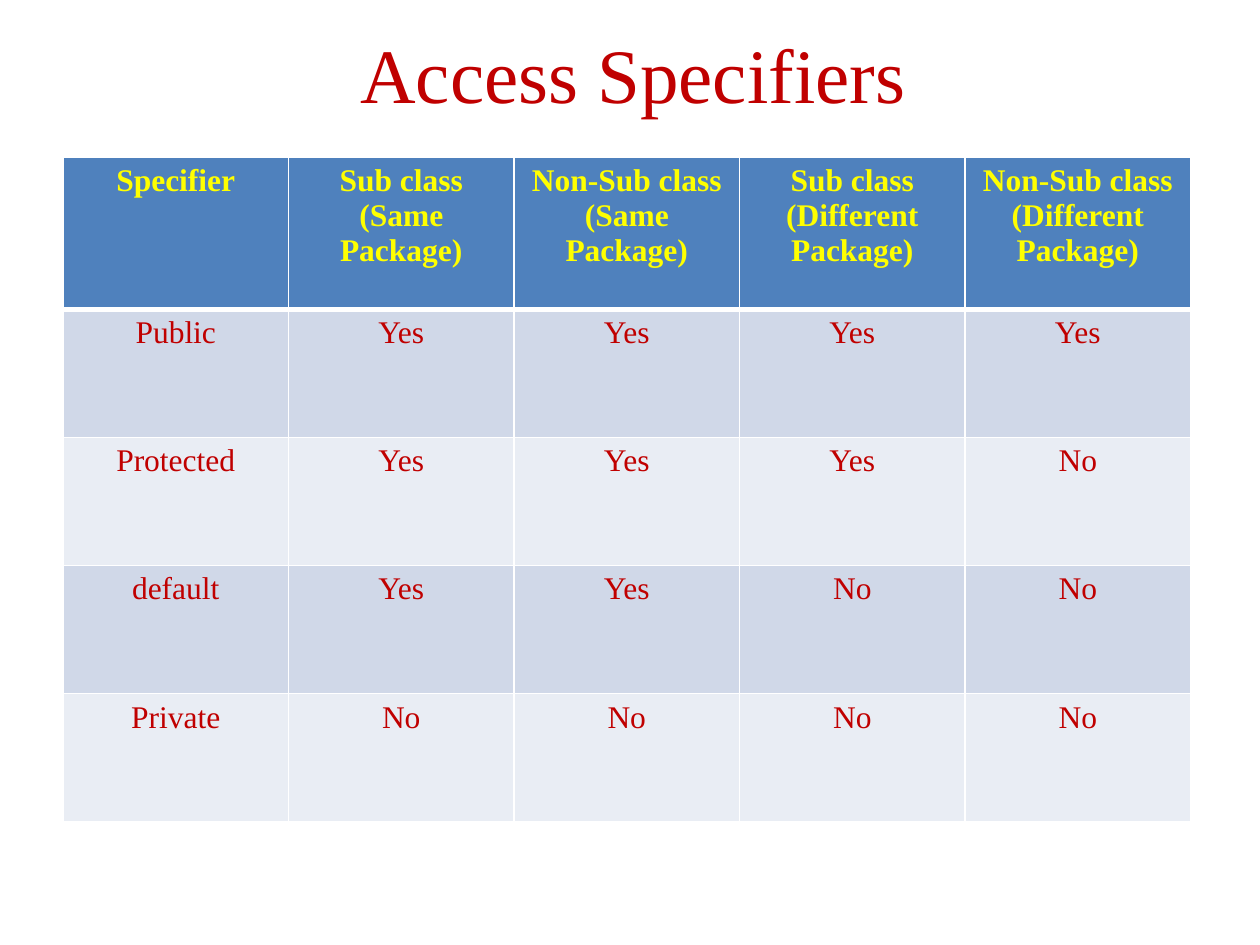
from dataclasses import dataclass

from lxml import etree
from pptx import Presentation
from pptx.dml.color import RGBColor
from pptx.enum import text
from pptx.oxml import ns
from pptx.util import Pt


@dataclass(frozen=True)
class Theme:
    font: str = "Times New Roman"
    title_size: float = 44
    cell_size: float = 18
    title: str = "C00000"
    header_text: str = "FFFF00"
    body_text: str = "C00000"
    header_fill: str = "4F81BD"
    bands: tuple[str, str] = ("D0D8E8", "E9EDF4")
    border: str = "FFFFFF"
    border_width: float = 1
    header_rule: float = 3


@dataclass(frozen=True)
class Box:
    left: float
    top: float
    width: float
    height: float


@dataclass(frozen=True)
class Specifier:
    name: str
    access: tuple[str, ...]


THEME = Theme()
TITLE_BOX = Box(39.6, 0, 644.4, 82.8)
HEADER_HEIGHT = 86.8
ROW_HEIGHT = 73.2
HEADINGS = (
    "Specifier",
    "Sub class (Same Package)",
    "Non-Sub class (Same Package)",
    "Sub class (Different Package)",
    "Non-Sub class (Different Package)",
)
SPECIFIERS = (
    Specifier("Public", ("Yes", "Yes", "Yes", "Yes")),
    Specifier("Protected", ("Yes", "Yes", "Yes", "No")),
    Specifier("default", ("Yes", "Yes", "No", "No")),
    Specifier("Private", ("No", "No", "No", "No")),
)
TABLE_BOX = Box(36, 90, 644.4, HEADER_HEIGHT + ROW_HEIGHT * len(SPECIFIERS))


def format_paragraph(paragraph, size: float, color: str, bold: bool = False) -> None:
    paragraph.alignment = text.PP_ALIGN.CENTER
    font = paragraph.font
    font.name = THEME.font
    font.size = Pt(size)
    font.bold = bold
    font.color.rgb = RGBColor.from_string(color)


def draw_borders(cell, top: float, bottom: float) -> None:
    properties = cell._tc.get_or_add_tcPr()
    side = THEME.border_width
    for tag, width in (("lnL", side), ("lnR", side), ("lnT", top), ("lnB", bottom)):
        line = etree.SubElement(properties, ns.qn(f"a:{tag}"), w=str(Pt(width)))
        fill = etree.SubElement(line, ns.qn("a:solidFill"))
        etree.SubElement(fill, ns.qn("a:srgbClr"), val=THEME.border)


def draw_cell(cell, label: str, row: int) -> None:
    header = row == 0
    draw_borders(
        cell,
        top=THEME.header_rule if row == 1 else THEME.border_width,
        bottom=THEME.header_rule if header else THEME.border_width,
    )
    fill = THEME.header_fill if header else THEME.bands[(row - 1) % 2]
    cell.fill.solid()
    cell.fill.fore_color.rgb = RGBColor.from_string(fill)
    cell.text = label
    color = THEME.header_text if header else THEME.body_text
    format_paragraph(cell.text_frame.paragraphs[0], THEME.cell_size, color, header)


def draw_title(slide, label: str, box: Box) -> None:
    title = slide.shapes.title
    title.left, title.top = Pt(box.left), Pt(box.top)
    title.width, title.height = Pt(box.width), Pt(box.height)
    title.text_frame.text = label
    title.text_frame.vertical_anchor = text.MSO_ANCHOR.MIDDLE
    format_paragraph(title.text_frame.paragraphs[0], THEME.title_size, THEME.title)


def draw_access_table(slide, box: Box) -> None:
    rows = [HEADINGS] + [(item.name, *item.access) for item in SPECIFIERS]
    table = slide.shapes.add_table(
        len(rows), len(HEADINGS),
        Pt(box.left), Pt(box.top), Pt(box.width), Pt(box.height),
    ).table
    for row, labels in enumerate(rows):
        table.rows[row].height = Pt(ROW_HEIGHT if row else HEADER_HEIGHT)
        for column, label in enumerate(labels):
            draw_cell(table.cell(row, column), label, row)


def main() -> None:
    presentation = Presentation()
    presentation.slide_width, presentation.slide_height = Pt(720), Pt(540)
    slide = presentation.slides.add_slide(
        presentation.slide_layouts.get_by_name("Title Only")
    )
    draw_title(slide, "Access Specifiers", TITLE_BOX)
    draw_access_table(slide, TABLE_BOX)
    presentation.save("out.pptx")


if __name__ == "__main__":
    main()
